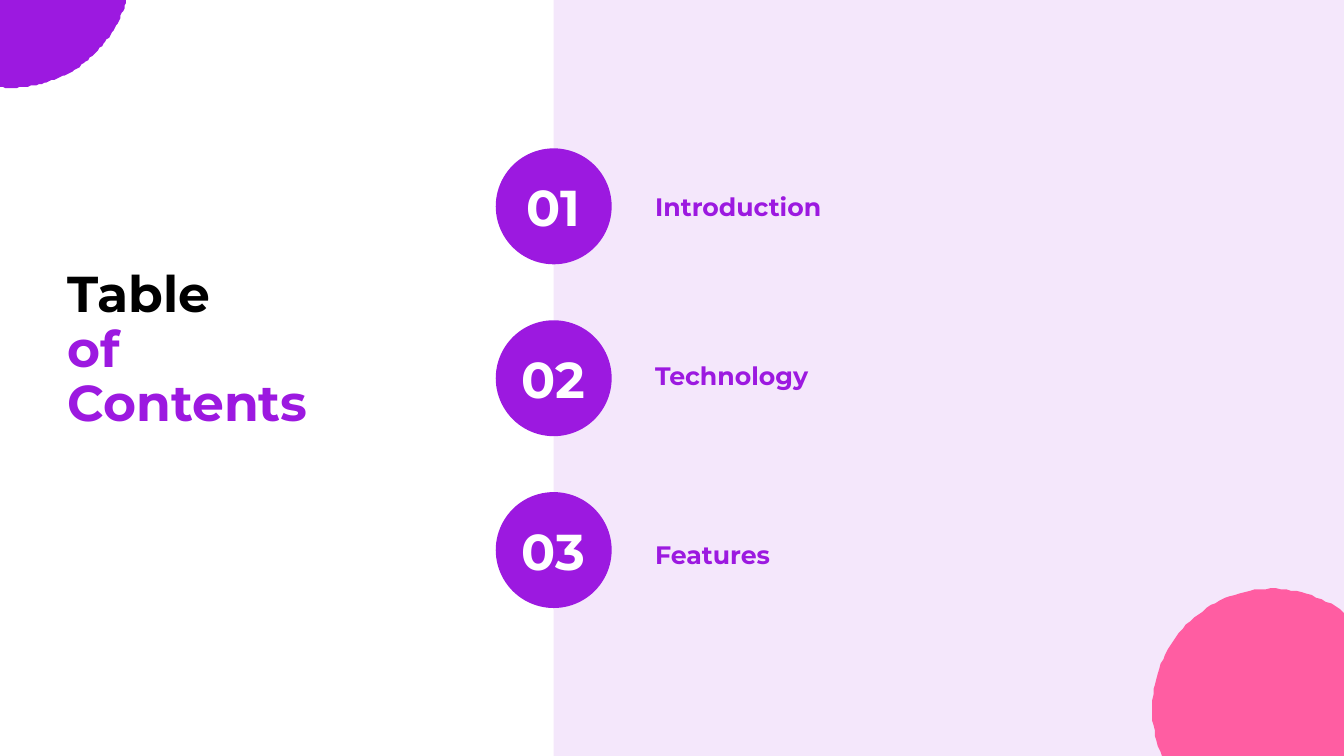
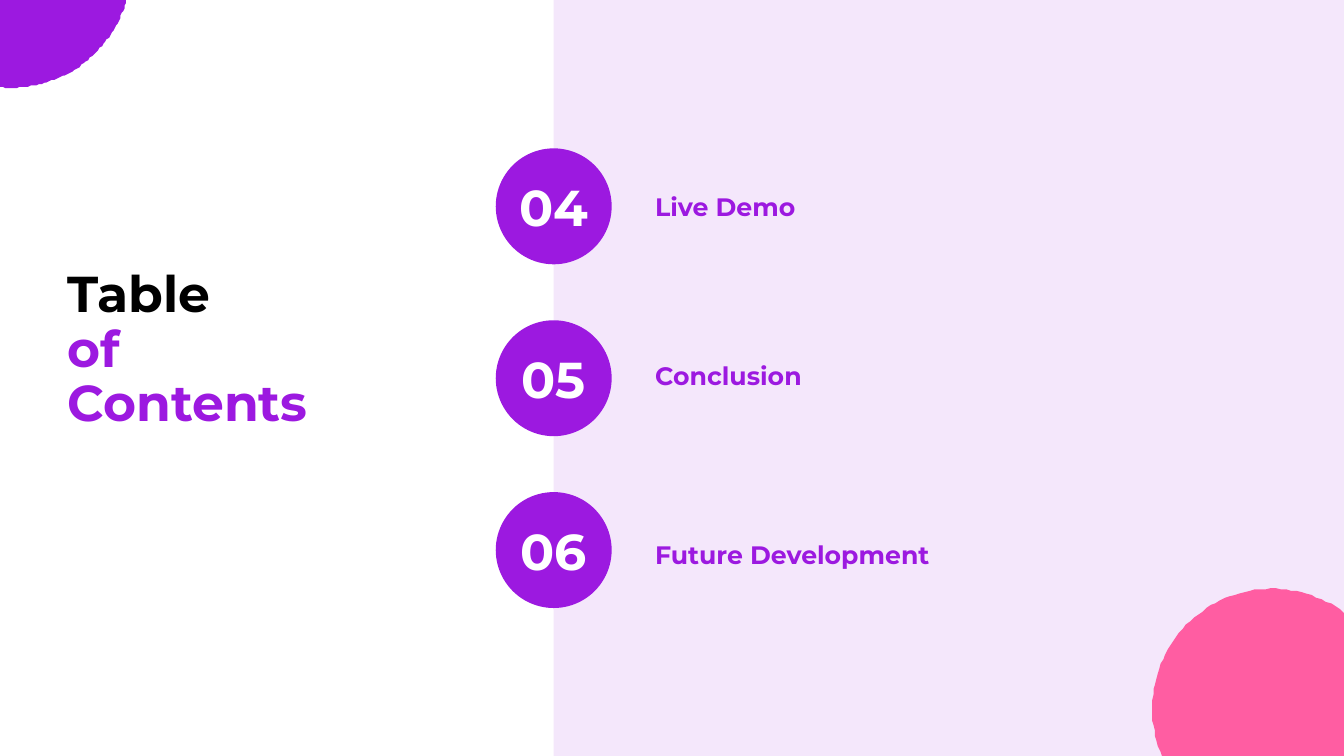
from math import cos, sin, radians
from lxml.etree import SubElement
from pptx import Presentation
from pptx.dml.color import RGBColor
from pptx.enum.shapes import MSO_SHAPE
from pptx.enum.text import MSO_ANCHOR, PP_ALIGN
from pptx.oxml.ns import qn
from pptx.util import Pt

# Content
TITLE = ("Table", "of Contents")
PAGES = [
    ["Introduction", "Technology", "Features"],
    ["Live Demo", "Conclusion", "Future Development"],
]

# Shared look
INK = {"black": "000000", "violet": "9C19E0", "pink": "FF5DA2", "white": "FFFFFF"}
BIG = {"name": "Montserrat", "size": Pt(36), "bold": True}
SMALL = {**BIG, "size": Pt(18)}
FRAME = {"margin_left": 0, "margin_right": 0, "margin_top": 0, "margin_bottom": 0}
LOW = {**FRAME, "vertical_anchor": MSO_ANCHOR.BOTTOM}
MID = {**FRAME, "vertical_anchor": MSO_ANCHOR.MIDDLE, "word_wrap": False}

# Layout in points
WIDE, HIGH = 960, 540
EDGE = 395.5                    # left side of the tinted band
DISC, TOP, STEP = 82.8, 106, 122.75
LABEL_X, LABEL_W, LABEL_H = 468, 342.7, 30.2
LABEL_TOPS = (128.2, 249.1, 376.6)
# Corner arcs: slide corner, centre, start and end angle, colour
ARCS = [
    ((0, 0), (8, -23), (15.6, 95.3), "violet"),
    ((WIDE, HIGH), (908.6, 506), (156.6, 306.9), "pink"),
]
RADIUS, PARTS = 85.6, 60


def apply(item, form):
    for key, value in form.items():
        setattr(item, key, value)


def paint(shape, ink):
    shape.shadow.inherit = False
    shape.fill.solid()
    shape.fill.fore_color.rgb = RGBColor.from_string(INK[ink])
    shape.line.fill.background()


def write(para, text, form, ink):
    run = para.add_run()
    run.text = text
    apply(run.font, form)
    run.font.color.rgb = RGBColor.from_string(INK[ink])


def add_box(slide, rect, wrap):
    frame = slide.shapes.add_textbox(*map(Pt, rect)).text_frame
    apply(frame, {**LOW, "word_wrap": wrap})
    para = frame.paragraphs[0]
    para.line_spacing = 0.9
    return para


def add_shape(slide, kind, rect, ink):
    shape = slide.shapes.add_shape(kind, *map(Pt, rect))
    paint(shape, ink)
    return shape


def add_base(slide):
    # Title
    para = add_box(slide, (48.2, 219.6, 211, 89.3), False)
    write(para, TITLE[0], BIG, "black")
    para.add_line_break()
    write(para, TITLE[1], BIG, "violet")
    # Tinted band
    band = add_shape(slide, MSO_SHAPE.RECTANGLE, (EDGE, 0, WIDE - EDGE, HIGH), "violet")
    tint = band.fill._xPr.find(qn("a:solidFill"))[0]
    SubElement(tint, qn("a:alpha")).set("val", "10000")
    # Corner arcs
    for corner, (mid_x, mid_y), (start, end), ink in ARCS:
        turns = [radians(start + (end - start) * n / PARTS) for n in range(PARTS + 1)]
        curve = [(mid_x + RADIUS * cos(t), mid_y + RADIUS * sin(t)) for t in turns]
        form = slide.shapes.build_freeform(*corner, scale=Pt(1))
        form.add_line_segments(curve, close=True)
        paint(form.convert_to_shape(), ink)


def add_item(slide, row, number, label):
    rect = (EDGE - DISC / 2, TOP + row * STEP, DISC, DISC)
    frame = add_shape(slide, MSO_SHAPE.OVAL, rect, "violet").text_frame
    apply(frame, MID)
    para = frame.paragraphs[0]
    para.alignment = PP_ALIGN.CENTER
    write(para, f"{number:02d}", BIG, "white")
    para = add_box(slide, (LABEL_X, LABEL_TOPS[row], LABEL_W, LABEL_H), True)
    write(para, label, SMALL, "violet")


# Slides
deck = Presentation()
apply(deck, {"slide_width": Pt(WIDE), "slide_height": Pt(HIGH)})
number = 0
for labels in PAGES:
    slide = deck.slides.add_slide(deck.slide_layouts[6])
    add_base(slide)
    for row, label in enumerate(labels):
        number += 1
        add_item(slide, row, number, label)
deck.save("out.pptx")
